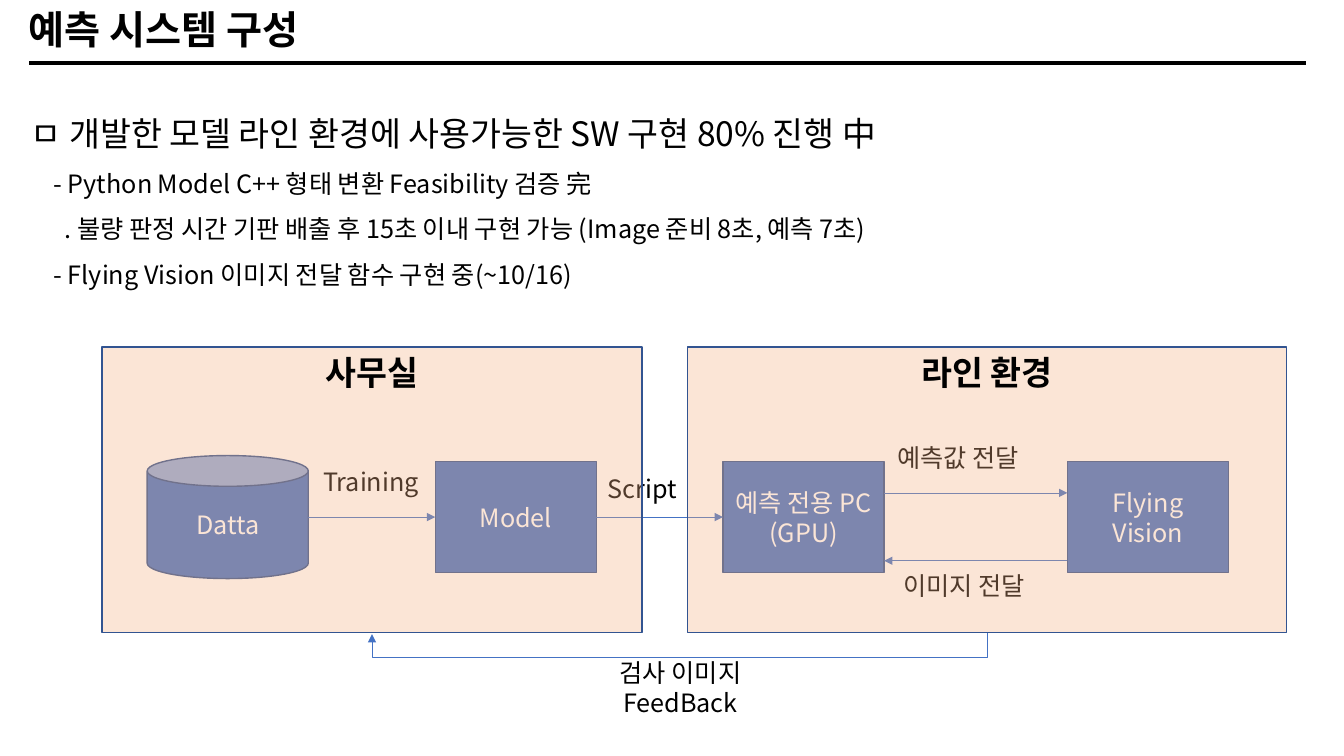
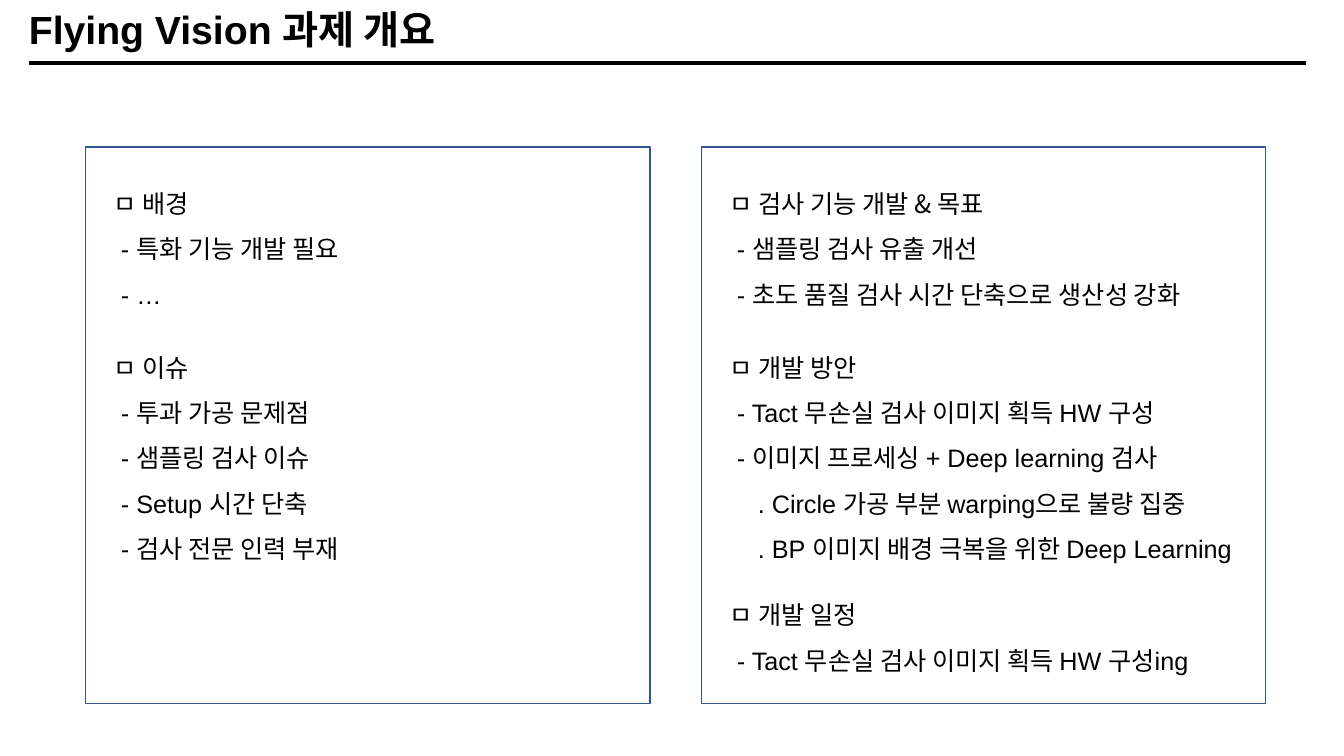
from dataclasses import dataclass

from lxml.etree import SubElement
from pptx import Presentation
from pptx.dml.color import RGBColor
from pptx.enum.shapes import MSO_CONNECTOR, MSO_SHAPE
from pptx.enum.text import MSO_ANCHOR, MSO_AUTO_SIZE, PP_ALIGN
from pptx.oxml.ns import qn
from pptx.util import Cm, Pt


@dataclass(frozen=True)
class Theme:
    korean: str = "Noto Sans CJK KR"
    latin: str = "Arial"
    black: RGBColor = RGBColor(0x00, 0x00, 0x00)
    white: RGBColor = RGBColor(0xFF, 0xFF, 0xFF)
    blue: RGBColor = RGBColor(0x44, 0x72, 0xC4)
    edge: RGBColor = RGBColor(0x32, 0x54, 0x91)
    peach: RGBColor = RGBColor(0xF4, 0xB1, 0x83)
    peach_alpha: int = 33
    title: Pt = Pt(28)
    heading: Pt = Pt(24)
    body: Pt = Pt(18)


T = Theme()


# Text
def apply(target, values):
    for name, value in values.items():
        setattr(target, name, value)


def write(p, text, color=T.black, size=T.body, name=T.korean, bold=False):
    r = p.add_run()
    r.text = text
    apply(r.font, {"size": size, "name": name, "bold": bold})
    r.font.color.rgb = color
    SubElement(r.font._element, qn("a:ea"), typeface=T.korean)


def add_text(s, x, y, w, h, **frame):
    tf = s.shapes.add_textbox(Cm(x), Cm(y), Cm(w), Cm(h)).text_frame
    apply(tf, {"word_wrap": True, "auto_size": MSO_AUTO_SIZE.SHAPE_TO_FIT_TEXT,
               **frame})
    return tf


def add_label(s, text, x, y, h=1.02):
    p = add_text(s, x, y, 5.5, h).paragraphs[0]
    p.alignment = PP_ALIGN.CENTER
    write(p, text)


def add_outline(s, x, y, w, h, lines, styles):
    """Each line is (level, text); styles gives each level (indent, font)."""
    tf = add_text(s, x, y, w, h)
    for i, (level, text) in enumerate(lines):
        p = tf.add_paragraph() if i else tf.paragraphs[0]
        p.line_spacing = 1.5
        indent, font = styles[level]
        p._p.get_or_add_pPr().set("marL", str(Cm(indent)))
        write(p, text, **font)


# Shapes
def add_box(s, x, y, w, h, kind=MSO_SHAPE.RECTANGLE, fill=None, alpha=None):
    sp = s.shapes.add_shape(kind, Cm(x), Cm(y), Cm(w), Cm(h))
    sp.shadow.inherit = False
    apply(sp.line, {"width": Pt(1)})
    sp.line.color.rgb = T.edge
    if fill is None:
        sp.fill.background()
    else:
        sp.fill.solid()
        sp.fill.fore_color.rgb = fill
    if alpha is not None:
        color = sp.fill._xPr.find(".//" + qn("a:srgbClr"))
        SubElement(color, qn("a:alpha"), val=str(alpha * 1000))
    return sp


def fill_text(sp, text, anchor, **font):
    tf = sp.text_frame
    apply(tf, {"word_wrap": True, "vertical_anchor": anchor})
    p = tf.paragraphs[0]
    p.alignment = PP_ALIGN.CENTER
    write(p, text, **font)


def add_node(s, text, x, y, h, kind=MSO_SHAPE.RECTANGLE):
    sp = add_box(s, x, y, NODE_W, h, kind, T.blue)
    fill_text(sp, text, MSO_ANCHOR.MIDDLE, color=T.white)


def add_panel(s, text, x, w):
    sp = add_box(s, x, PANEL_Y, w, PANEL_H, fill=T.peach, alpha=T.peach_alpha)
    fill_text(sp, text, MSO_ANCHOR.TOP, size=T.heading, bold=True)


# Lines
def add_line(s, x1, y1, x2, y2, color=T.blue, width=0.5, arrow=True,
             kind=MSO_CONNECTOR.STRAIGHT):
    cn = s.shapes.add_connector(kind, Cm(x1), Cm(y1), Cm(x2), Cm(y2))
    cn.line.color.rgb = color
    cn.line.width = Pt(width)
    if arrow:
        SubElement(cn.line._get_or_add_ln(), qn("a:tailEnd"), type="triangle")
    SubElement(cn._element.spPr, qn("a:effectLst"))
    return cn


def add_return_arrow(s, x_from, x_to, y, drop):
    """An elbow lying on its side: down, back to the left, and up."""
    thick, span = 0.04, x_from - x_to
    x, top = (x_from + x_to - thick) / 2, y + (thick - span) / 2
    cn = add_line(s, x, top, x + thick, top + span, kind=MSO_CONNECTOR.ELBOW)
    spPr = cn._element.spPr
    spPr.find(qn("a:xfrm")).set("rot", str(90 * 60000))
    geom = spPr.find(qn("a:prstGeom"))
    av = geom.find(qn("a:avLst"))
    if av is None:
        av = SubElement(geom, qn("a:avLst"))
    SubElement(av, qn("a:gd"), name="adj1",
               fmla=f"val {round(drop / thick * 100000)}")


# Shared slide frame
def new_slide(prs, title):
    s = prs.slides.add_slide(prs.slide_layouts[6])
    tf = add_text(s, 0.48, 0.05, 32.7, 1.42, auto_size=MSO_AUTO_SIZE.NONE,
                  vertical_anchor=MSO_ANCHOR.BOTTOM)
    p = tf.paragraphs[0]
    p.line_spacing = 0.9
    write(p, title, size=T.title, name=T.latin, bold=True)
    add_line(s, 0.74, 1.58, 32.9, 1.58, T.black, 3, arrow=False)
    return s


# System diagram grid, in cm
NODE_W, NODE_H, NODE_Y = 4.06, 2.8, 11.63
CAN_H = 3.1
MID_Y = NODE_Y + NODE_H / 2
DATA_X, MODEL_X, PC_X, VISION_X = 3.71, 10.97, 18.22, 26.9
PANEL_Y, PANEL_H = 8.74, 7.2
OFFICE_X, OFFICE_W = 2.57, 13.61
LINE_X, LINE_W = 17.32, 15.11


def system_slide(prs):
    s = new_slide(prs, "예측 시스템 구성")

    # Nodes, arrows and labels lie under the tinted panels
    add_node(s, "Datta", DATA_X, MID_Y - CAN_H / 2, CAN_H, MSO_SHAPE.CAN)
    for text, x in (("Model", MODEL_X), ("예측 전용 PC (GPU)", PC_X),
                    ("Flying Vision", VISION_X)):
        add_node(s, text, x, NODE_Y, NODE_H)
    pc_right = PC_X + NODE_W
    for x1, x2, y in ((DATA_X + NODE_W, MODEL_X, MID_Y),
                      (MODEL_X + NODE_W, PC_X, MID_Y),
                      (pc_right, VISION_X, 12.42),
                      (VISION_X, pc_right, 14.13)):
        add_line(s, x1, y, x2, y)
    for text, x, y in (("Training", 6.6, 11.63), ("Script", 13.44, 11.81),
                       ("예측값 전달", 21.39, 11.02),
                       ("이미지 전달", 21.54, 14.25)):
        add_label(s, text, x, y)
    add_panel(s, "사무실", OFFICE_X, OFFICE_W)
    add_panel(s, "라인 환경", LINE_X, LINE_W)

    # Feedback loop
    add_return_arrow(s, LINE_X + LINE_W / 2, OFFICE_X + OFFICE_W / 2,
                     PANEL_Y + PANEL_H, 0.63)
    add_label(s, "검사 이미지 FeedBack", 14.4, 16.43, 1.8)

    # Progress summary
    styles = {"head": (0, {"size": T.heading}), "dash": (0.57, {}),
              "dot": (0.85, {})}
    add_outline(s, 0.53, 2.21, 32.7, 5.1, [
        ("head", "ㅁ 개발한 모델 라인 환경에 사용가능한 SW 구현 80% 진행 中"),
        ("dash", "- Python Model C++ 형태 변환 Feasibility 검증 完"),
        ("dot", ". 불량 판정 시간 기판 배출 후 15초 이내 구현 가능 "
                "(Image 준비 8초, 예측 7초)"),
        ("dash", "- Flying Vision 이미지 전달 함수 구현 중(~10/16)"),
    ], styles)


def overview_slide(prs):
    s = new_slide(prs, "Flying Vision 과제 개요")
    arial = {"name": T.latin}
    styles = {"head": (0, {}), "dash": (0.18, arial), "dot": (0.71, arial)}
    left = [
        (4.24, 3.58, [("head", "ㅁ 배경"),
                      ("dash", "- 특화 기능 개발 필요"),
                      ("dash", "- …")]),
        (8.36, 5.87, [("head", "ㅁ 이슈"),
                      ("dash", "- 투과 가공 문제점"),
                      ("dash", "- 샘플링 검사 이슈"),
                      ("dash", "- Setup 시간 단축"),
                      ("dash", "- 검사 전문 인력 부재")]),
    ]
    right = [
        (4.24, 3.58, [("head", "ㅁ 검사 기능 개발 & 목표"),
                      ("dash", "- 샘플링 검사 유출 개선"),
                      ("dash", "- 초도 품질 검사 시간 단축으로 생산성 강화")]),
        (8.36, 5.87, [("head", "ㅁ 개발 방안"),
                      ("dash", "- Tact 무손실 검사 이미지 획득 HW 구성"),
                      ("dash", "- 이미지 프로세싱 + Deep learning 검사"),
                      ("dot", ". Circle 가공 부분 warping으로 불량 집중"),
                      ("dot", ". BP 이미지 배경 극복을 위한 Deep Learning")]),
        (14.6, 2.41, [("head", "ㅁ 개발 일정"),
                      ("dash", "- Tact 무손실 검사 이미지 획득 HW 구성ing")]),
    ]
    for x, groups in ((2.16, left), (17.68, right)):
        add_box(s, x, 3.71, 14.22, 14.02)
        for y, h, lines in groups:
            add_outline(s, x + 0.46, y, 13.9, h, lines, styles)


def main():
    prs = Presentation()
    apply(prs, {"slide_width": Cm(33.87), "slide_height": Cm(19.05)})
    system_slide(prs)
    overview_slide(prs)
    prs.save("out.pptx")


if __name__ == "__main__":
    main()
